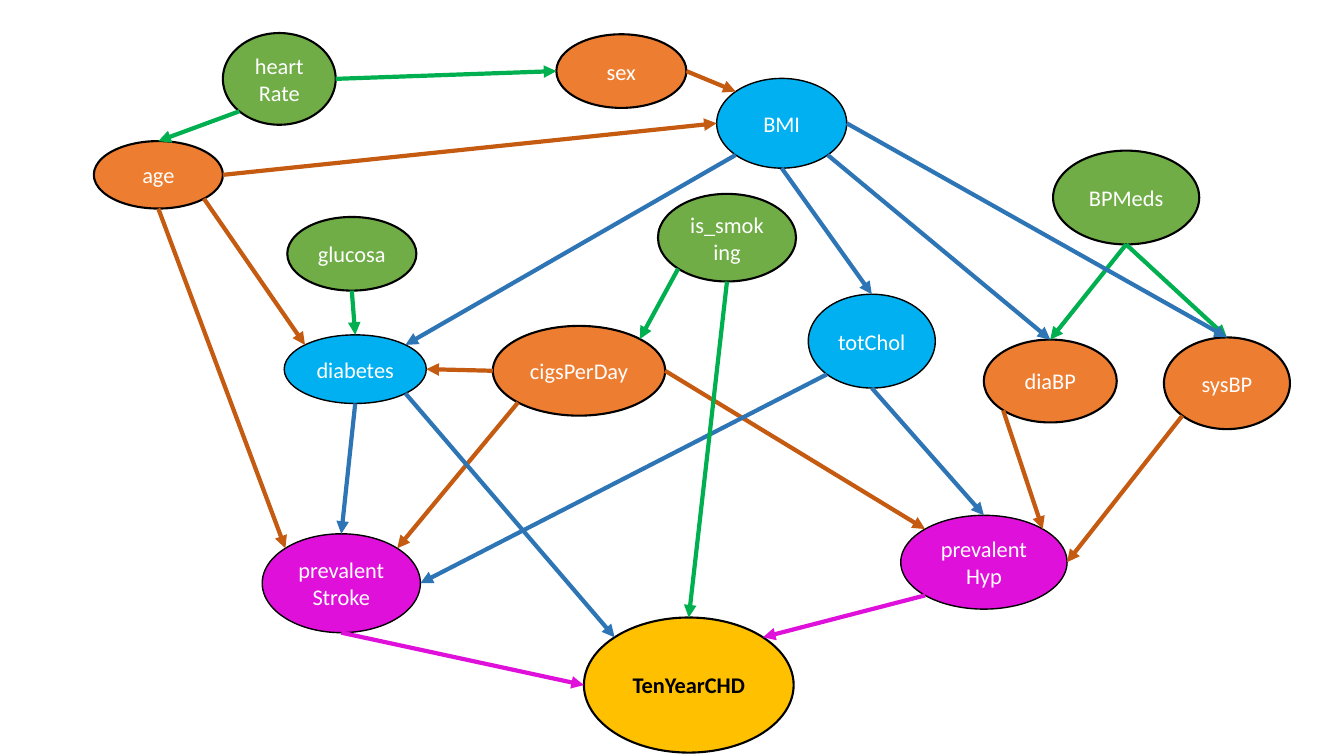
from math import cos, pi, sin

from lxml import etree
from pptx import Presentation
from pptx.dml.color import RGBColor
from pptx.enum.shapes import MSO_CONNECTOR, MSO_SHAPE
from pptx.enum.text import MSO_ANCHOR, PP_ALIGN
from pptx.oxml.ns import qn
from pptx.util import Pt

ELLIPSE = MSO_SHAPE.OVAL
STRAIGHT = MSO_CONNECTOR.STRAIGHT
MIDDLE = MSO_ANCHOR.MIDDLE
CENTER = PP_ALIGN.CENTER

# Connection sites of an ellipse, counter-clockwise from the top
SITES = ["top", "top left", "left", "bottom left",
         "bottom", "bottom right", "right", "top right"]

# group: (fill, outline width, text colour, bold, arrow colour)
GROUPS = {
    "green": ("70AD47", 1.5, "FFFFFF", False, "00B050"),
    "orange": ("ED7D31", 1.5, "FFFFFF", False, "C55A11"),
    "blue": ("00B0F0", 1, "FFFFFF", False, "2E75B6"),
    "magenta": ("E010DB", 1, "FFFFFF", False, "E010DB"),
    "target": ("FFC000", 1.5, "000000", True, "FFC000"),
}

# label, group, left, top, width, height
NODES = [
    ("BPMeds", "green", 752.2, 107.6, 104.4, 67),
    ("is_smoking", "green", 470, 138.5, 98.6, 62.6),
    ("sex", "orange", 397.4, 24.5, 92.9, 52.6),
    ("age", "orange", 67, 100.8, 92.2, 48.2),
    ("cigsPerDay", "orange", 352, 232.8, 123.1, 64.1),
    ("BMI", "blue", 511.9, 56, 92.9, 64.1),
    ("sysBP", "orange", 831.4, 241, 90, 65.5),
    ("totChol", "blue", 577.4, 210.2, 90.7, 67),
    ("TenYearCHD", "target", 417.1, 441.1, 149.8, 96.5),
    ("prevalentStroke", "magenta", 187.3, 381.3, 113, 70.6),
    ("prevalentHyp", "magenta", 643.4, 368.1, 118.8, 67),
    ("diabetes", "blue", 203, 239.2, 101.5, 49),
    ("diaBP", "orange", 702.7, 242.6, 95, 59.2),
    ("heartRate", "green", 159.2, 23.6, 80.6, 65.5),
    ("glucosa", "green", 205.2, 155, 92.2, 52.6),
]

# source, its site, target, its site
ARROWS = [
    ("cigsPerDay", "right", "prevalentHyp", "top left"),
    ("diabetes", "bottom", "prevalentStroke", "top"),
    ("age", "bottom", "prevalentStroke", "top left"),
    ("glucosa", "bottom", "diabetes", "top"),
    ("cigsPerDay", "left", "diabetes", "right"),
    ("sex", "right", "BMI", "top left"),
    ("prevalentStroke", "bottom", "TenYearCHD", "left"),
    ("BPMeds", "bottom", "diaBP", "top"),
    ("BPMeds", "bottom", "sysBP", "top"),
    ("age", "right", "BMI", "left"),
    ("BMI", "bottom", "totChol", "top"),
    ("diaBP", "bottom left", "prevalentHyp", "top right"),
    ("totChol", "bottom", "prevalentHyp", "top"),
    ("totChol", "bottom left", "prevalentStroke", "right"),
    ("BMI", "right", "sysBP", "top"),
    ("BMI", "bottom right", "diaBP", "top"),
    ("age", "bottom right", "diabetes", "top left"),
    ("heartRate", "right", "sex", "left"),
    ("heartRate", "bottom left", "age", "top"),
    ("BMI", "bottom left", "diabetes", "top right"),
    ("prevalentHyp", "bottom left", "TenYearCHD", "top right"),
    ("cigsPerDay", "bottom left", "prevalentStroke", "top right"),
    ("is_smoking", "bottom left", "cigsPerDay", "top right"),
    ("diabetes", "bottom right", "TenYearCHD", "top left"),
    ("sysBP", "bottom left", "prevalentHyp", "right"),
    ("is_smoking", "bottom", "TenYearCHD", "top"),
]


def color(hex_string):
    return RGBColor.from_string(hex_string)


def site_point(shape, site):
    """Return the x and y of a connection site on an ellipse."""
    angle = SITES.index(site) * pi / 4
    x = shape.left + shape.width / 2 * (1 - sin(angle))
    y = shape.top + shape.height / 2 * (1 - cos(angle))
    return round(x), round(y)


class GraphSlide:
    font_name = "Calibri"
    font_size = Pt(16)
    arrow_width = Pt(3)

    def __init__(self, slide):
        self.slide = slide
        self.shapes = {}
        self.arrow_colors = {}

    def add_node(self, label, group, left, top, width, height):
        fill, outline, text_color, bold, arrow_color = GROUPS[group]
        shape = self.slide.shapes.add_shape(
            ELLIPSE, Pt(left), Pt(top), Pt(width), Pt(height))
        shape.shadow.inherit = False
        shape.fill.solid()
        shape.fill.fore_color.rgb = color(fill)
        shape.line.color.rgb = color("000000")
        shape.line.width = Pt(outline)

        frame = shape.text_frame
        frame.word_wrap = True
        frame.vertical_anchor = MIDDLE
        paragraph = frame.paragraphs[0]
        paragraph.text = label
        paragraph.alignment = CENTER
        paragraph.font.name = self.font_name
        paragraph.font.size = self.font_size
        paragraph.font.bold = bold
        paragraph.font.color.rgb = color(text_color)

        self.shapes[label] = shape
        self.arrow_colors[label] = arrow_color

    def add_arrow(self, source, source_site, target, target_site):
        """Join two nodes with an arrow glued to their connection sites."""
        ends = [("a:stCxn", self.shapes[source], source_site),
                ("a:endCxn", self.shapes[target], target_site)]
        start, end = [site_point(shape, site) for _, shape, site in ends]
        connector = self.slide.shapes.add_connector(STRAIGHT, *start, *end)
        connector.line.color.rgb = color(self.arrow_colors[source])
        connector.line.width = self.arrow_width

        properties = connector.element.spPr
        etree.SubElement(properties.find(qn("a:ln")), qn("a:tailEnd"), type="triangle")
        etree.SubElement(properties, qn("a:effectLst"))
        glue = connector.element.find(".//" + qn("p:cNvCxnSpPr"))
        for tag, shape, site in ends:
            etree.SubElement(glue, qn(tag), id=str(shape.shape_id),
                             idx=str(SITES.index(site)))


def main():
    presentation = Presentation()
    presentation.slide_width = Pt(960)
    presentation.slide_height = Pt(540)
    blank_layout = presentation.slide_layouts[6]
    graph = GraphSlide(presentation.slides.add_slide(blank_layout))
    for node in NODES:
        graph.add_node(*node)
    for arrow in ARROWS:
        graph.add_arrow(*arrow)
    presentation.save("out.pptx")


if __name__ == "__main__":
    main()
